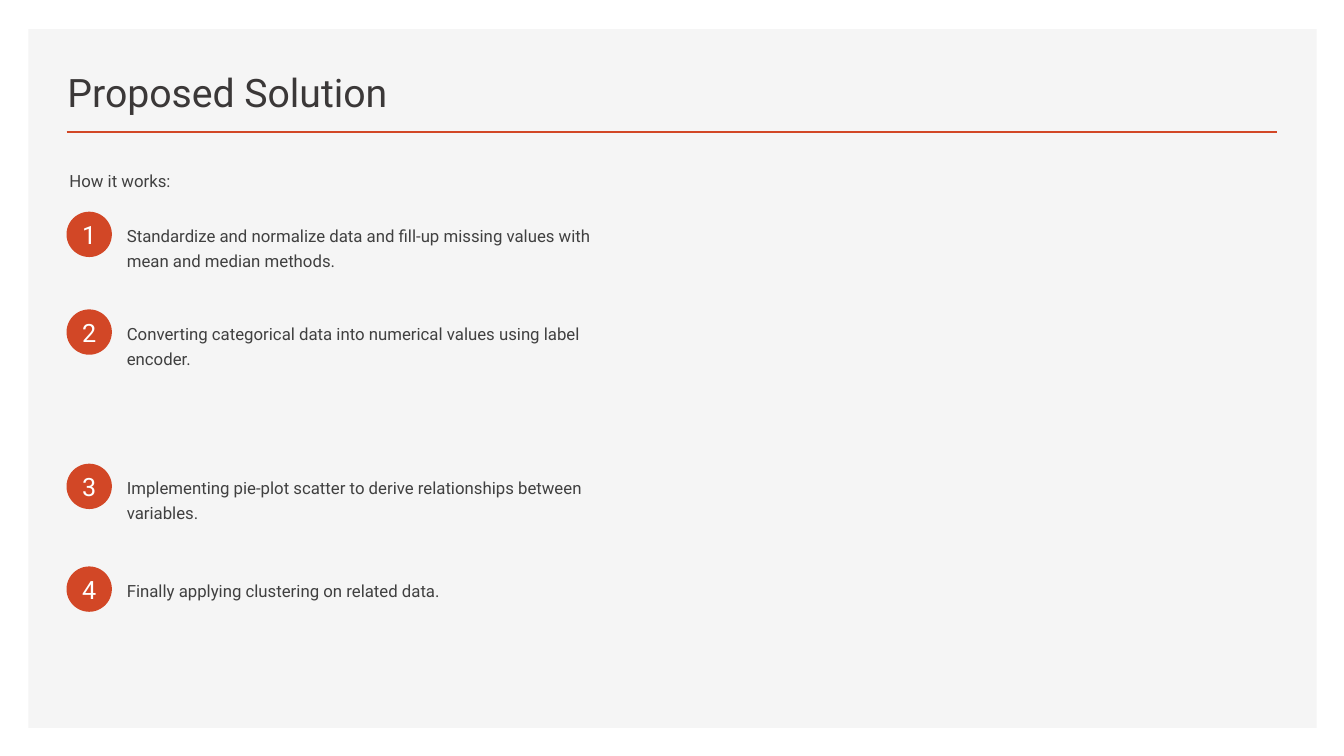
from lxml import etree
from pptx import Presentation
from pptx.dml.color import RGBColor
from pptx.enum.shapes import MSO_CONNECTOR, MSO_SHAPE
from pptx.enum.text import MSO_ANCHOR, MSO_AUTO_SIZE, PP_ALIGN
from pptx.oxml.ns import qn
from pptx.util import Pt

LINE = MSO_CONNECTOR.STRAIGHT
RECT = MSO_SHAPE.RECTANGLE
OVAL = MSO_SHAPE.OVAL
LEFT = PP_ALIGN.LEFT
CENTER = PP_ALIGN.CENTER
MIDDLE = MSO_ANCHOR.MIDDLE
BOTTOM = MSO_ANCHOR.BOTTOM
NO_FIT = MSO_AUTO_SIZE.NONE

RED = "D24726"
GRAY = "F5F5F5"
DARK = "3B3838"
INK = "404040"
WHITE = "FFFFFF"
FONT = "Roboto"
DISC = 32.4

STEPS = [
    (151.2, 361.4, 46.8, 6,
     "Standardize and normalize data and fill-up missing values with "
     "mean and median methods."),
    (221, 355, 84.2, 20,
     "Converting categorical data into numerical values using label encoder."),
    (331.2, 355, 59.8, 6,
     "Implementing pie-plot scatter to derive relationships between variables."),
    (404.6, 355, 44.6, 20,
     "Finally applying clustering on related data."),
]


def color(code):
    return RGBColor.from_string(code)


def style(frame, text, size, ink, align=LEFT):
    frame.text = text
    par = frame.paragraphs[0]
    par.alignment = align
    par.font.name = FONT
    par.font.size = Pt(size)
    par.font.color.rgb = color(ink)
    return par


def add_solid(slide, kind, left, top, width, height, fill):
    shape = slide.shapes.add_shape(
        kind, Pt(left), Pt(top), Pt(width), Pt(height))
    shape.shadow.inherit = False
    shape.fill.solid()
    shape.fill.fore_color.rgb = color(fill)
    shape.line.fill.background()
    return shape


def add_frame(slide, left, top, width, height):
    panel = add_solid(slide, RECT, left, top, width, height, GRAY)
    rule = slide.shapes.add_connector(
        LINE, Pt(left + 27.4), Pt(top + 73.4),
        Pt(left + width - 28), Pt(top + 73.4))
    rule.line.color.rgb = color(RED)
    rule.line.width = Pt(2)
    props = rule.element.find(qn("p:spPr"))
    etree.SubElement(props, qn("a:effectLst"))
    title = slide.shapes.title
    title.element.getparent().append(title.element)
    return panel


def add_title(slide, left, top, width, height, text):
    title = slide.shapes.title
    title.left, title.top = Pt(left), Pt(top)
    title.width, title.height = Pt(width), Pt(height)
    frame = title.text_frame
    frame.auto_size = NO_FIT
    frame.vertical_anchor = BOTTOM
    style(frame, text, 28, DARK)


def add_body(slide, left, top, width, height, text, after):
    box = slide.shapes.add_textbox(
        Pt(left), Pt(top), Pt(width), Pt(height))
    box.text_frame.word_wrap = True
    par = style(box.text_frame, text, 12, INK)
    par.line_spacing = Pt(18)
    par.space_before = Pt(10)
    par.space_after = Pt(after)


def add_step(slide, left, top, width, height, number, text, after):
    disc = add_solid(slide, OVAL, left, top, DISC, DISC, RED)
    frame = disc.text_frame
    frame.margin_left = frame.margin_right = 0
    frame.margin_top = frame.margin_bottom = 0
    frame.vertical_anchor = MIDDLE
    style(frame, str(number), 18, WHITE, CENTER)
    add_body(slide, left + 36, top + 2.8, width, height, text, after)


def main():
    deck = Presentation()
    deck.slide_width, deck.slide_height = Pt(960), Pt(540)
    slide = deck.slides.add_slide(deck.slide_layouts[5])
    add_frame(slide, 20.2, 20.9, 920.2, 499)
    add_title(slide, 41, 35.3, 541.4, 50.4, "Proposed Solution")
    add_body(slide, 42.5, 114.5, 402.5, 37.4, "How it works:", 20)
    for number, (top, width, height, after, text) in enumerate(STEPS, 1):
        add_step(slide, 47.5, top, width, height, number, text, after)
    deck.save("out.pptx")


if __name__ == "__main__":
    main()
